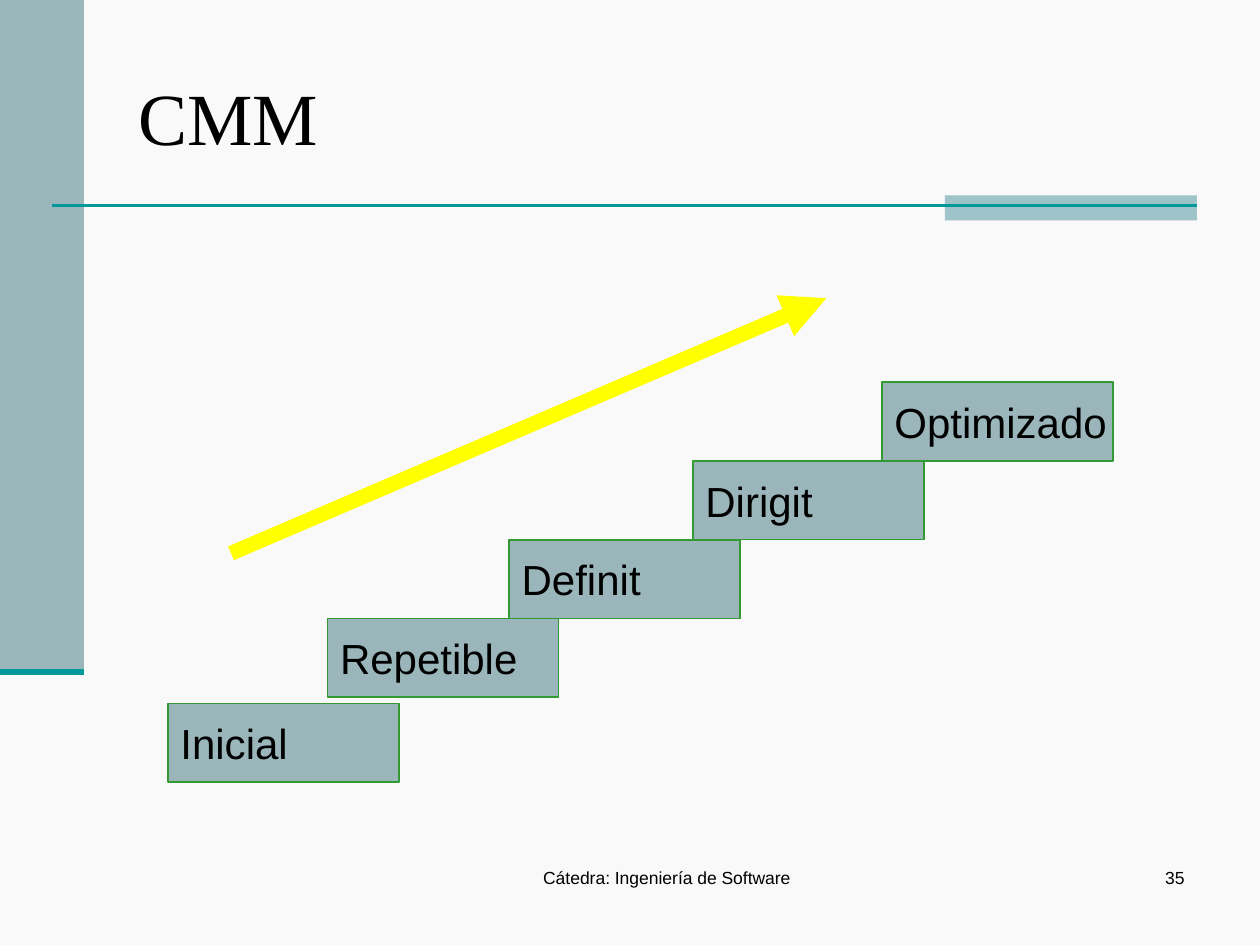
from lxml.etree import SubElement
from pptx import Presentation
from pptx.dml.color import RGBColor
from pptx.enum.shapes import MSO_CONNECTOR, MSO_SHAPE
from pptx.enum.text import MSO_ANCHOR, PP_ALIGN
from pptx.oxml.ns import qn
from pptx.util import Inches, Pt

COLORS = {
    "background": "F9F9F9",
    "panel": "9BB6BB",
    "accent": "9EC3C8",
    "rule": "009999",
    "border": "339933",
    "arrow": "FFFF00",
    "text": "000000",
}
UNITS_PER_INCH = 12
LEVELS = ["Inicial", "Repetible", "Definit", "Dirigit", "Optimizado"]
LEVEL_COLUMNS = [0, 15.2, 32.5, 50, 68]
LEVEL_WIDTH, LEVEL_HEIGHT, FIRST_GAP = 22, 7.5, 0.6


def grid(*units):
    return [Inches(unit / UNITS_PER_INCH) for unit in units]


def color(name):
    return RGBColor.from_string(COLORS[name])


def add_block(slide, box, fill, border=None):
    block = slide.shapes.add_shape(MSO_SHAPE.RECTANGLE, *grid(*box))
    block.shadow.inherit = False
    block.fill.solid()
    block.fill.fore_color.rgb = color(fill)
    if border:
        block.line.color.rgb = color(border)
        block.line.width = Pt(1)
    else:
        block.line.fill.background()
    return block


def add_rule(slide, ends, name, width):
    rule = slide.shapes.add_connector(MSO_CONNECTOR.STRAIGHT, *grid(*ends))
    rule.line.color.rgb = color(name)
    rule.line.width = Pt(width)
    SubElement(rule._element.spPr, qn("a:effectLst"))
    return rule


def write(frame, words, size, align=PP_ALIGN.LEFT, font="Arial"):
    frame.text = words
    paragraph = frame.paragraphs[0]
    paragraph.alignment = align
    paragraph.font.size = Pt(size)
    paragraph.font.name = font
    paragraph.font.color.rgb = color("text")


def decorate(slide, box):
    left, top, width, height = box
    right = left + width
    sidebar_width, sidebar_height = 8, 64
    rule_row = top + 19.6
    sidebar_bottom = top + sidebar_height
    add_block(slide, (left, top, sidebar_width, sidebar_height), "panel")
    add_block(slide, (right - 30, top + 18.6, 24, 2.4), "accent")
    add_rule(slide, (left + 5, rule_row, right - 6, rule_row), "rule", 1.5)
    add_rule(slide, (left, sidebar_bottom, left + sidebar_width, sidebar_bottom), "rule", 3.5)


def place_title(slide, box):
    title = slide.shapes.title
    title.left, title.top, title.width, title.height = grid(*box)
    title.text_frame.vertical_anchor = MSO_ANCHOR.MIDDLE
    write(title.text_frame, "CMM", 42, font="Times New Roman")


def place_staircase(slide, box):
    left, top, width, height = box
    for index, (level, column) in enumerate(zip(LEVELS, LEVEL_COLUMNS)):
        rise = index * LEVEL_HEIGHT + (FIRST_GAP if index else 0)
        step_top = top + height - LEVEL_HEIGHT - rise
        step = add_block(
            slide, (left + column, step_top, LEVEL_WIDTH, LEVEL_HEIGHT), "panel", "border"
        )
        step.text_frame.word_wrap = False
        step.text_frame.vertical_anchor = MSO_ANCHOR.MIDDLE
        write(step.text_frame, level, 24)


def place_progress_arrow(slide, box):
    left, top, width, height = box
    arrow = add_rule(slide, (left, top + height, left + width, top), "arrow", 8.5)
    SubElement(arrow.line._get_or_add_ln(), qn("a:tailEnd"), type="triangle")


def place_footer(slide, box):
    left, top, width, height = box
    entries = [
        ("Cátedra: Ingeniería de Software", 0, 39, PP_ALIGN.CENTER),
        ("35", width - 25, 25, PP_ALIGN.RIGHT),
    ]
    for words, column, columns, align in entries:
        entry = slide.shapes.add_textbox(*grid(left + column, top, columns, height))
        entry.text_frame.word_wrap = True
        write(entry.text_frame, words, 10, align)


def main():
    presentation = Presentation()
    presentation.slide_width, presentation.slide_height = grid(120, 90)
    slide = presentation.slides.add_slide(presentation.slide_layouts[5])
    slide.background.fill.solid()
    slide.background.fill.fore_color.rgb = color("background")
    decorate(slide, (0, 0, 120, 90))
    place_staircase(slide, (16, 36.4, 90, 38.1))
    place_progress_arrow(slide, (22, 28.4, 56.7, 24.3))
    place_title(slide, (12, 3.6, 102, 15))
    place_footer(slide, (44, 82, 70, 6))
    presentation.save("out.pptx")


if __name__ == "__main__":
    main()
